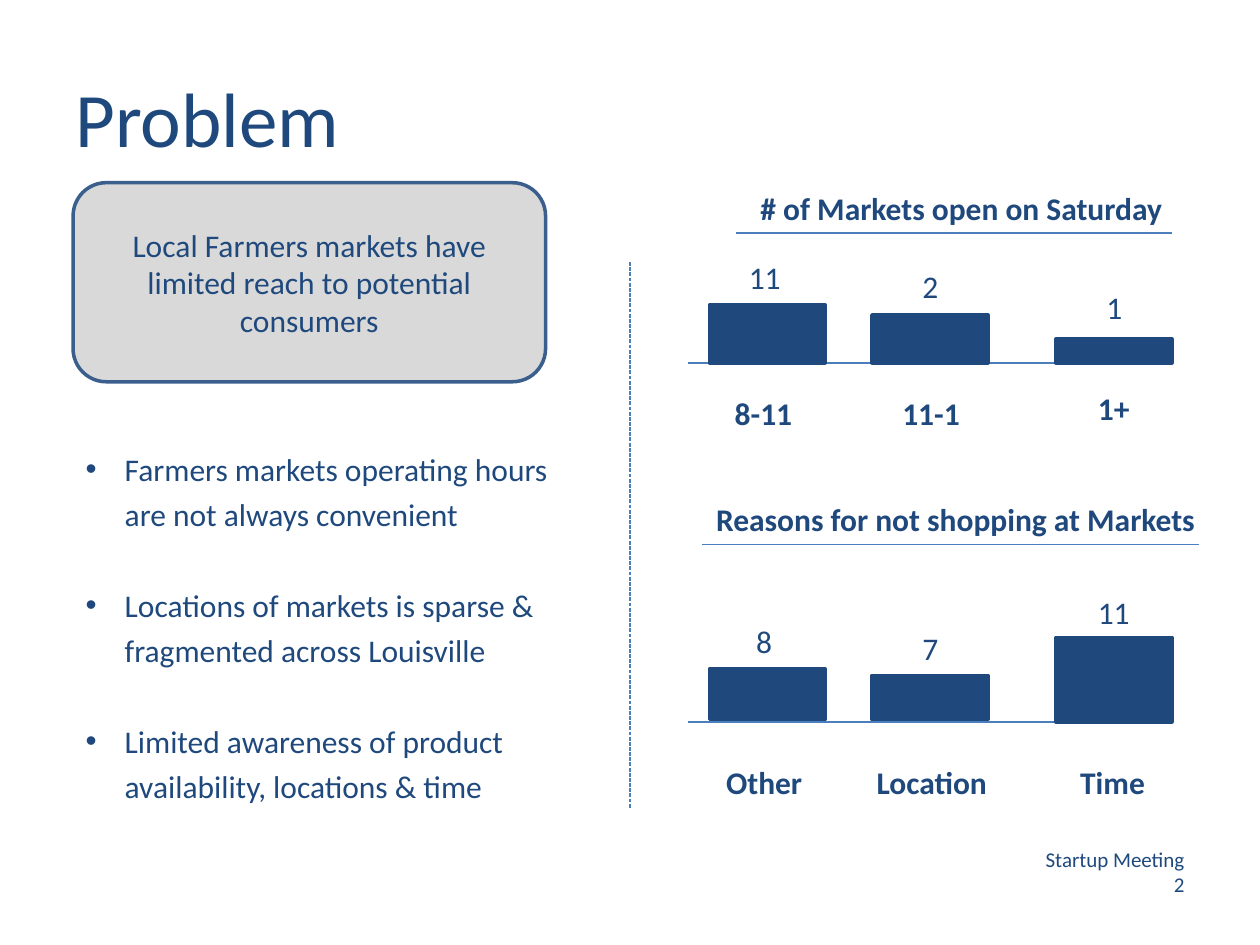
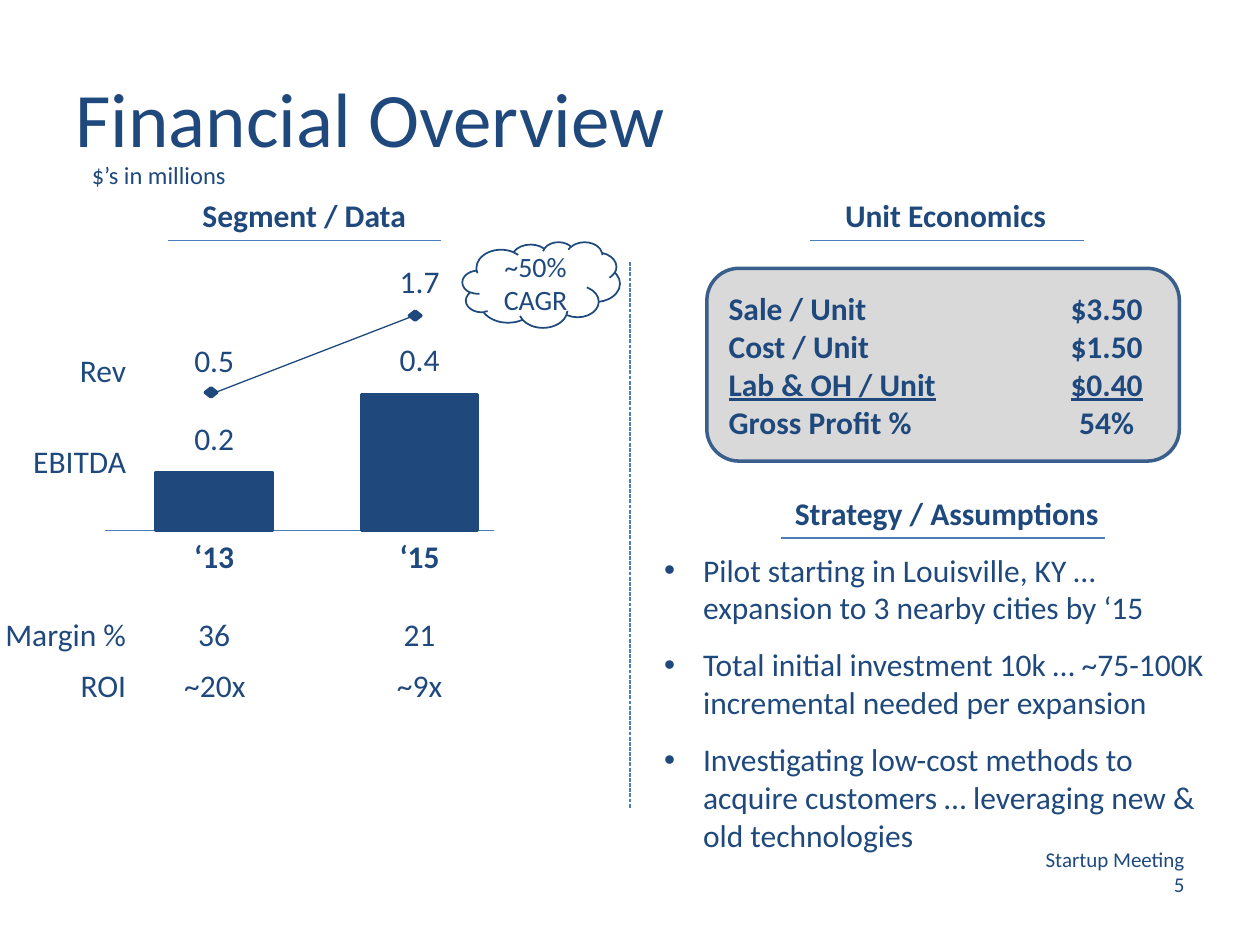
from dataclasses import dataclass
from typing import Any

from lxml.etree import SubElement
from pptx import Presentation
from pptx.dml.color import RGBColor
from pptx.enum.dml import MSO_LINE
from pptx.enum.shapes import MSO_CONNECTOR, MSO_SHAPE
from pptx.enum.text import MSO_ANCHOR, MSO_AUTO_SIZE, PP_ALIGN
from pptx.oxml.ns import qn
from pptx.util import Pt

PX = 9144  # 100 px to the inch
NAVY = RGBColor(0x1F, 0x49, 0x7D)
BLUE = RGBColor(0x4B, 0x7E, 0xBC)
STEEL = RGBColor(0x3A, 0x5F, 0x8C)
GREY = RGBColor(0xD9, 0xD9, 0xD9)
FONT = "Calibri"
LEFT, MID, RIGHT = PP_ALIGN.LEFT, PP_ALIGN.CENTER, PP_ALIGN.RIGHT
BAR_W = 92
ROW_H = 40
HANG = 31


@dataclass(frozen=True)
class Box:
    x: int
    y: int
    w: int
    h: int

    def emu(self) -> list[int]:
        return [n * PX for n in (self.x, self.y, self.w, self.h)]


@dataclass(frozen=True)
class Label:
    text: str
    box: Box
    align: PP_ALIGN = MID
    size: int = 18
    bold: bool = False


@dataclass(frozen=True)
class Head:
    text: str
    box: Box
    start: int
    end: int


@dataclass(frozen=True)
class Bar:
    mid: int
    top: int
    foot: int
    value: Label
    name: Label


@dataclass(frozen=True)
class Graph:
    start: int
    end: int
    base: int
    bars: list[Bar]


def note(text: str, mid: int, y: int, w: int, bold: bool = False) -> Label:
    """A label centred on a column."""
    return Label(text, Box(mid - w // 2, y, w, ROW_H), bold=bold)


def apply(target: Any, form: dict[str, Any]) -> None:
    for key, value in form.items():
        setattr(target, key, value)


def write(frame: Any, lines: list[str], size: int = 18, bold: bool = False,
          **form: Any) -> None:
    """Fill a frame, one paragraph a line; form holds paragraph settings."""
    for i, line in enumerate(lines):
        para = frame.paragraphs[0] if i == 0 else frame.add_paragraph()
        apply(para, form)
        run = para.add_run()
        run.text = line
        apply(run.font, {"name": FONT, "size": Pt(size), "bold": bold})
        run.font.color.rgb = NAVY


def add_label(slide: Any, label: Label) -> None:
    frame = slide.shapes.add_textbox(*label.box.emu()).text_frame
    apply(frame, {"word_wrap": False, "auto_size": MSO_AUTO_SIZE.SHAPE_TO_FIT_TEXT})
    write(frame, label.text.split("\n"), label.size, label.bold, alignment=label.align)


def add_line(slide: Any, x1: int, y1: int, x2: int, y2: int,
             color: RGBColor = BLUE) -> Any:
    ends = [n * PX for n in (x1, y1, x2, y2)]
    line = slide.shapes.add_connector(MSO_CONNECTOR.STRAIGHT, *ends)
    line.line.color.rgb = color
    line.line.width = Pt(0.75)
    SubElement(line._element.spPr, qn("a:effectLst"))
    return line


def add_form(slide: Any, kind: MSO_SHAPE, box: Box, fill: RGBColor | None = NAVY,
             edge: RGBColor = NAVY, width: int = 2) -> Any:
    form = slide.shapes.add_shape(kind, *box.emu())
    form.shadow.inherit = False
    if fill is None:
        form.fill.background()
    else:
        form.fill.solid()
        form.fill.fore_color.rgb = fill
    form.line.color.rgb = edge
    form.line.width = Pt(width)
    form.text_frame.vertical_anchor = MSO_ANCHOR.MIDDLE
    return form


def add_card(slide: Any, box: Box) -> Any:
    return add_form(slide, MSO_SHAPE.ROUNDED_RECTANGLE, box, GREY, STEEL).text_frame


def add_head(slide: Any, head: Head) -> None:
    add_label(slide, Label(head.text, head.box, bold=True))
    y = head.box.y + head.box.h
    add_line(slide, head.start, y, head.end, y)


def add_graph(slide: Any, graph: Graph) -> None:
    add_line(slide, graph.start, graph.base, graph.end, graph.base)
    for bar in graph.bars:
        box = Box(bar.mid - BAR_W // 2, bar.top, BAR_W, bar.foot - bar.top)
        add_form(slide, MSO_SHAPE.RECTANGLE, box)
        add_label(slide, bar.value)
        add_label(slide, bar.name)


def fill_list(slide: Any, box: Box, items: list[str], gap: int, pitch: float) -> None:
    """Put a bulleted list into the body placeholder."""
    body = slide.placeholders[1]
    apply(body, dict(zip(("left", "top", "width", "height"), box.emu())))
    frame = body.text_frame
    frame.auto_size = MSO_AUTO_SIZE.NONE
    write(frame, items, line_spacing=pitch, space_before=Pt(gap))
    frame.paragraphs[0].space_before = Pt(0)
    for para in frame.paragraphs:
        props = para._p.get_or_add_pPr()
        props.set("marL", str(HANG * PX))
        props.set("indent", str(-HANG * PX))


def add_page(deck: Any, title: str, number: int) -> Any:
    """Add a slide with its title, footer and dashed divider."""
    slide = deck.slides.add_slide(deck.slide_layouts[1])
    head = slide.shapes.title
    apply(head, dict(zip(("left", "top", "width", "height"), Box(50, 30, 900, 125).emu())))
    apply(head.text_frame, {"vertical_anchor": MSO_ANCHOR.MIDDLE,
                            "auto_size": MSO_AUTO_SIZE.NONE})
    write(head.text_frame, [title], 44, alignment=LEFT)
    add_label(slide, Label(f"Startup Meeting\n{number}", Box(812, 667, 138, 50), RIGHT, 12))
    add_line(slide, 500, 208, 500, 642).line.dash_style = MSO_LINE.SQUARE_DOT
    return slide


def draw_problem(deck: Any) -> None:
    slide = add_page(deck, "Problem", 2)
    card = add_card(slide, Box(58, 145, 375, 158))
    write(card, ["Local Farmers markets have limited reach to potential consumers"],
          alignment=MID)
    fill_list(slide, Box(58, 346, 400, 301), [
        "Farmers markets operating hours are not always convenient",
        "Locations of markets is sparse & fragmented across Louisville",
        "Limited awareness of product availability, locations & time",
    ], 26, 1.2)
    add_head(slide, Head("# of Markets open on Saturday", Box(592, 145, 342, ROW_H), 584, 930))
    add_head(slide, Head("Reasons for not shopping at Markets",
                         Box(557, 392, 403, ROW_H), 557, 952))
    one, two, three = 609, 738, 884
    add_graph(slide, Graph(546, 930, 288, [
        Bar(one, 242, 288, note("11", 607, 200, 46), note("8-11", 606, 308, 66, True)),
        Bar(two, 250, 288, note("2", two, 207, 33), note("11-1", 739, 308, 66, True)),
        Bar(three, 269, 288, note("1", three, 224, 33), note("1+", three, 304, 46, True)),
    ]))
    add_graph(slide, Graph(546, 930, 573, [
        Bar(one, 531, 571, note("8", 606, 489, 33), note("Other", 606, 601, 81, True)),
        Bar(two, 536, 571, note("7", two, 494, 33), note("Location", 739, 601, 109, True)),
        Bar(three, 506, 573, note("11", three, 466, 46), note("Time", 883, 601, 72, True)),
    ]))


def draw_money(deck: Any) -> None:
    slide = add_page(deck, "Financial Overview", 5)
    add_label(slide, Label("$’s in millions", Box(63, 122, 128, 34), LEFT, 14))
    for head in (
        Head("Segment / Data", Box(150, 151, 183, ROW_H), 133, 350),
        Head("Unit Economics", Box(660, 151, 181, ROW_H), 643, 860),
        Head("Strategy / Assumptions", Box(620, 387, 263, ROW_H), 620, 877),
    ):
        add_head(slide, head)

    old, new = 170, 333
    add_graph(slide, Graph(83, 392, 421, [
        Bar(old, 375, 421, note("0.2", old, 328, 52), note("‘13", old, 421, 52, True)),
        Bar(new, 313, 421, note("0.4", new, 265, 52), note("‘15", new, 421, 52, True)),
    ]))
    for text, y, w in (("Rev", 274, 57), ("EBITDA", 346, 95),
                       ("Margin %", 483, 117), ("ROI", 524, 57)):
        add_label(slide, Label(text, Box(110 - w, y, w, ROW_H), RIGHT))
    for cell in (
        note("0.5", old, 266, 52), note("1.7", new, 203, 52),
        note("36", old, 483, 46), note("21", new, 483, 46),
        note("~20x", old, 524, 69), note("~9x", new, 524, 56),
    ):
        add_label(slide, cell)

    add_line(slide, 167, 313, 330, 250, NAVY)
    for x, y in ((163, 308), (325, 247)):
        add_form(slide, MSO_SHAPE.DIAMOND, Box(x, y, 9, 7))
    cloud = add_form(slide, MSO_SHAPE.CLOUD, Box(367, 192, 125, 68), None, width=1)
    write(cloud.text_frame, ["~50%", "CAGR"], 16, alignment=MID)

    card = add_card(slide, Box(561, 213, 375, 153))
    write(card, ["Sale / Unit\t$3.50", "Cost / Unit\t$1.50",
                 "Lab & OH / Unit\t$0.40", "Gross Profit %\t54%"],
          bold=True, alignment=LEFT)
    for para in card.paragraphs:
        tabs = SubElement(para._p.get_or_add_pPr(), qn("a:tabLst"))
        SubElement(tabs, qn("a:tab"), pos=str(300 * PX), algn="ctr")
    card.paragraphs[2].runs[0].font.underline = True

    fill_list(slide, Box(517, 432, 467, 252), [
        "Pilot starting in Louisville, KY … expansion to 3 nearby cities by ‘15",
        "Total initial investment 10k … ~75-100K incremental needed per expansion",
        "Investigating low-cost methods to acquire customers … leveraging new & old technologies",
    ], 11, 1.0)


def main() -> None:
    deck = Presentation()
    apply(deck, {"slide_width": 1000 * PX, "slide_height": 750 * PX})
    draw_problem(deck)
    draw_money(deck)
    deck.save("out.pptx")


if __name__ == "__main__":
    main()
